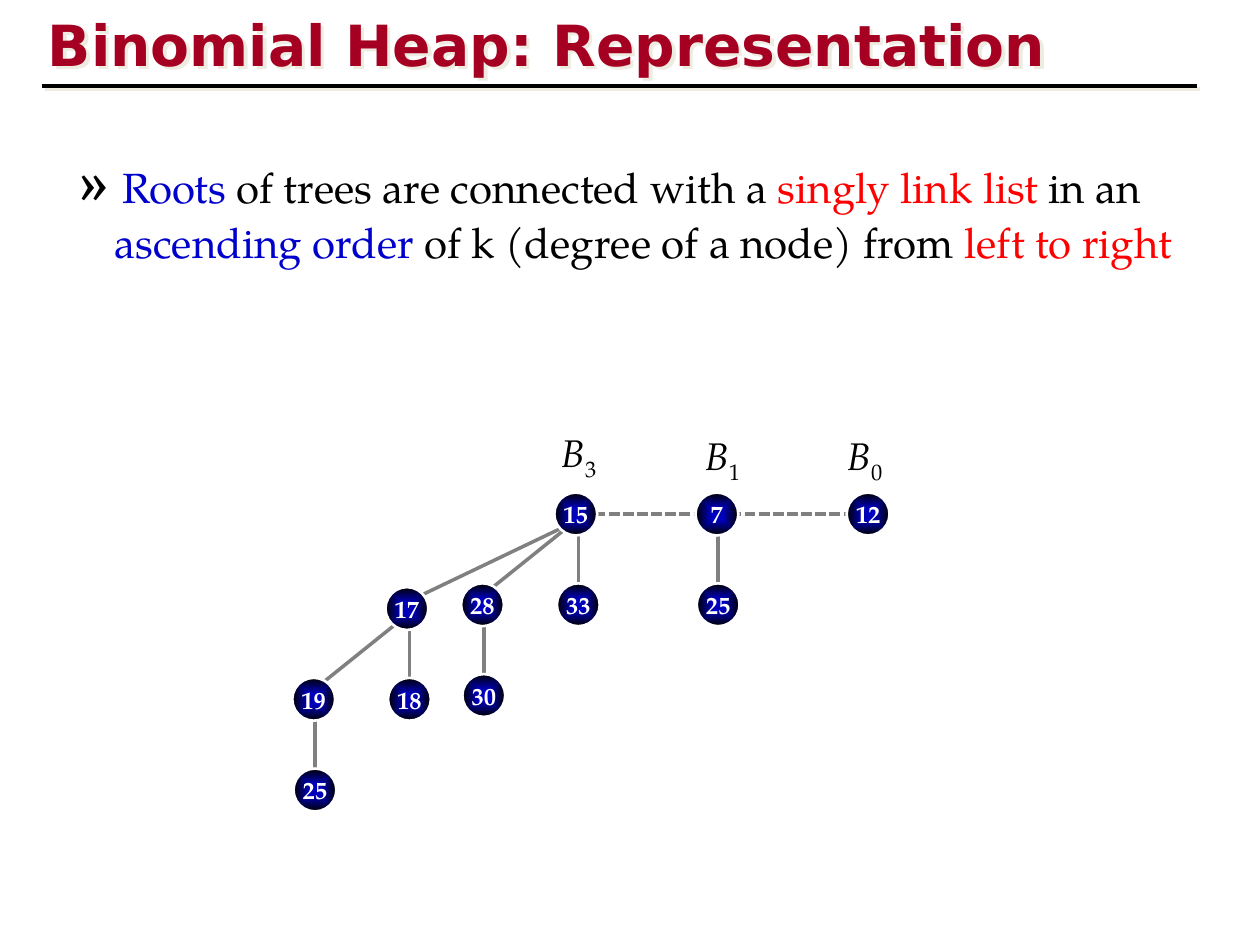
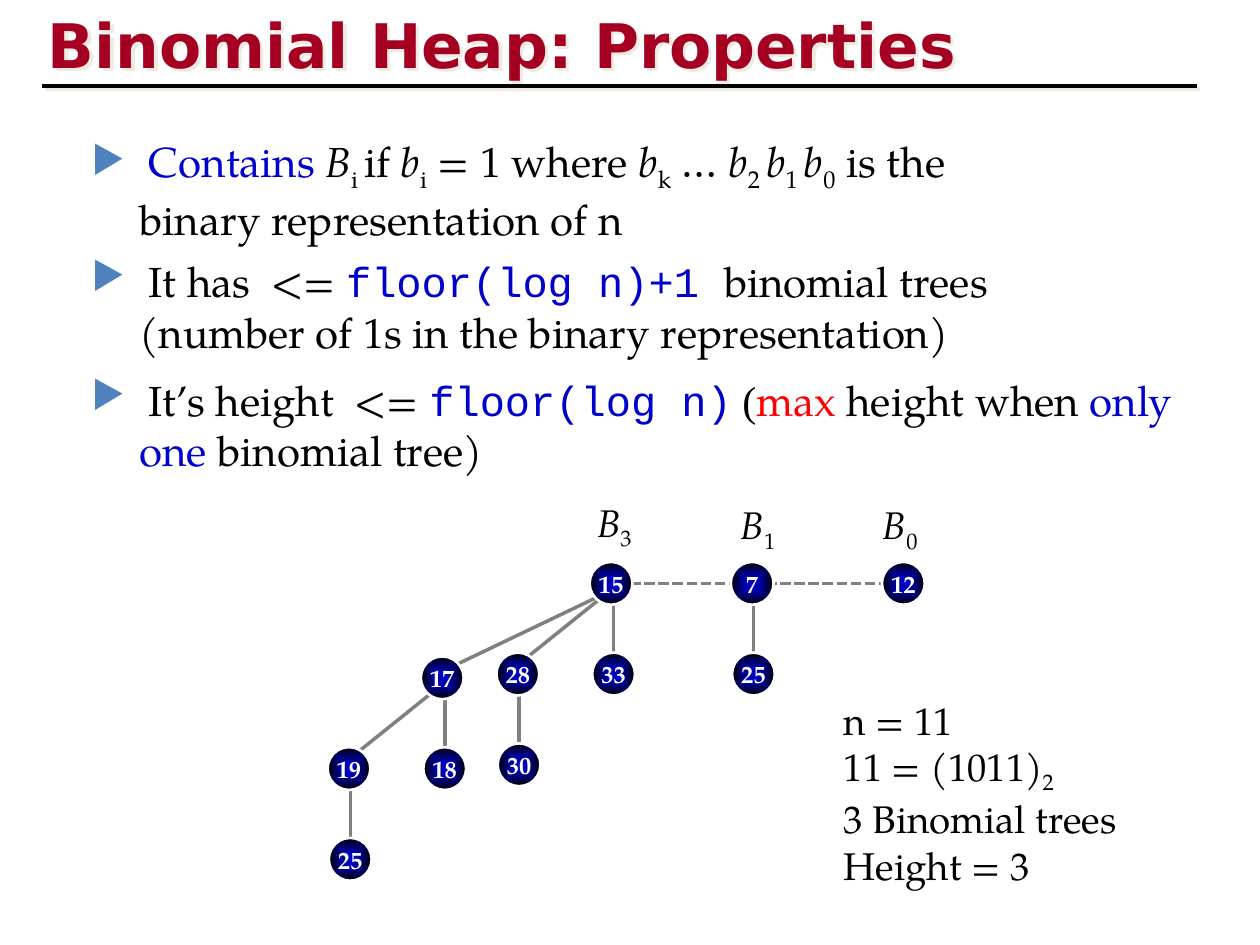
"""Build two slides on the representation and properties of a binomial heap."""
from dataclasses import dataclass, field
from typing import Any, NamedTuple

from lxml.etree import SubElement
from pptx import Presentation
from pptx.dml.color import RGBColor
from pptx.enum.dml import MSO_LINE_DASH_STYLE as Dash
from pptx.enum.shapes import MSO_CONNECTOR as Connector, MSO_SHAPE as Shape
from pptx.enum.text import MSO_ANCHOR as Anchor, MSO_AUTO_SIZE as AutoSize, PP_ALIGN as Align
from pptx.oxml import parse_xml
from pptx.oxml.ns import nsdecls, qn
from pptx.util import Inches, Pt

BLACK, WHITE, GREY = "000000", "FFFFFF", "808080"
CRIMSON, BLUE, RED = "A50021", "0000CC", "FF0000"
BULLET_BLUE, SHADOW_BEIGE = "4F81BD", "EEECE1"
SERIF, SANS, MONO = "TeX Gyre Pagella", "DejaVu Sans", "Courier New"
NODE_SIZE = 0.34
NODE_STOPS = {0: BLUE, 6: "0000C0", 10: "0000B7", 16: "0000AB", 21: BLUE, 100: BLACK}
HANGING = 0.38


class Span(NamedTuple):
    """A stretch of text with its own format."""
    text: str
    color: str = BLACK
    name: str = SERIF
    size: float = 24
    bold: bool = False
    italic: bool = False
    baseline: int = 0


class Point(NamedTuple):
    """A place in inches."""
    x: float
    y: float

    def moved(self, offset: "Point") -> "Point":
        """Return the point shifted by an offset."""
        return Point(self.x + offset.x, self.y + offset.y)


class Area(NamedTuple):
    """A rectangle in inches."""
    left: float
    top: float
    width: float
    height: float


@dataclass(frozen=True)
class Node:
    """A heap node, placed by its centre."""
    key: str
    center: Point


@dataclass(frozen=True)
class Edge:
    """A link whose ends are offsets from the centres of two nodes."""
    parent: str
    child: str
    start: Point
    end: Point
    dashed: bool = False


@dataclass(frozen=True)
class Paragraph:
    """Spans with a hanging indent and an optional bullet."""
    spans: list[Span]
    format: dict[str, Any] = field(default_factory=dict)
    hanging: bool = False
    bullet: str = ""


NODES = {
    "root3": Node("15", Point(4.57, 4.08)),
    "root1": Node("7", Point(5.69, 4.08)),
    "root0": Node("12", Point(6.89, 4.08)),
    "17": Node("17", Point(3.23, 4.83)),
    "28": Node("28", Point(3.83, 4.8)),
    "33": Node("33", Point(4.59, 4.8)),
    "leaf1": Node("25", Point(5.7, 4.8)),
    "19": Node("19", Point(2.49, 5.55)),
    "18": Node("18", Point(3.25, 5.55)),
    "30": Node("30", Point(3.84, 5.52)),
    "leaf3": Node("25", Point(2.5, 6.27)),
}
EDGES = [
    Edge("root3", "root1", Point(0.04, 0), Point(-0.03, 0), True),
    Edge("root1", "root0", Point(0.11, 0), Point(-0.04, 0), True),
    Edge("root3", "17", Point(-0.09, 0.1), Point(0.08, -0.09)),
    Edge("root3", "28", Point(-0.06, 0.1), Point(0.02, -0.09)),
    Edge("17", "19", Point(-0.06, 0.1), Point(0.02, -0.09)),
]
VERTICAL_PAIRS = [("root3", "33"), ("root1", "leaf1"), ("28", "30"), ("17", "18"), ("19", "leaf3")]
TREE_LABELS = {"3": Point(4.36, 3.36), "1": Point(5.5, 3.38), "0": Point(6.63, 3.38)}


def rgb(value: str) -> RGBColor:
    """Turn a hex string into a colour."""
    return RGBColor.from_string(value)


def apply_format(target: Any, values: dict[str, Any]) -> None:
    """Set each attribute of a format on its target."""
    for name, value in values.items():
        setattr(target, name, value)


def sub(text: str, size: float = 24) -> Span:
    """Return a subscript span."""
    return Span(text, size=size, baseline=-25)


def var(text: str, size: float = 24) -> Span:
    """Return an italic variable name."""
    return Span(text, size=size, italic=True)


def set_shadow(shape: Any, visible: bool) -> None:
    """Give a shape the beige offset shadow, or none."""
    effects = SubElement(shape._element.spPr, qn("a:effectLst"))
    if visible:
        shadow = SubElement(effects, qn("a:outerShdw"), dist="35560", dir="2700000", algn="ctr", rotWithShape="0")
        SubElement(shadow, qn("a:srgbClr"), val=SHADOW_BEIGE)


def write_paragraph(para: Any, content: Paragraph) -> None:
    """Fill a paragraph with formatted spans."""
    apply_format(para, content.format)
    properties = para._p.get_or_add_pPr()
    if content.hanging:
        properties.set("marL", str(Inches(HANGING)))
        properties.set("indent", str(-Inches(HANGING)))
    if content.bullet:
        color = SubElement(properties, qn("a:buClr"))
        SubElement(color, qn("a:srgbClr"), val=BULLET_BLUE)
        SubElement(properties, qn("a:buSzPct"), val="90000")
        SubElement(properties, qn("a:buChar"), char=content.bullet)
    for item in content.spans:
        span = para.add_run()
        span.text = item.text
        apply_format(span.font, {"name": item.name, "size": Pt(item.size), "bold": item.bold, "italic": item.italic})
        span.font.color.rgb = rgb(item.color)
        if item.baseline:
            span._r.get_or_add_rPr().set("baseline", str(item.baseline * 1000))


def add_text(page: Any, area: Area, paragraphs: list[Paragraph]) -> None:
    """Add a wrapped text box."""
    frame = page.shapes.add_textbox(*map(Inches, area)).text_frame
    frame.word_wrap = True
    for index, content in enumerate(paragraphs):
        write_paragraph(frame.add_paragraph() if index else frame.paragraphs[0], content)


def add_line(page: Any, start: Point, end: Point, color: str, width: float,
             dashed: bool = False, shadow: bool = False) -> None:
    """Add a straight line."""
    line = page.shapes.add_connector(Connector.STRAIGHT, *map(Inches, (*start, *end)))
    line.line.color.rgb = rgb(color)
    line.line.width = Pt(width)
    if dashed:
        line.line.dash_style = Dash.SQUARE_DOT
    set_shadow(line, shadow)


def add_page(deck: Any, title: str, size: float) -> Any:
    """Add a slide with its crimson title and the rule below."""
    page = deck.slides.add_slide(deck.slide_layouts[5])
    box = page.shapes.title
    apply_format(box, dict(zip(("left", "top", "width", "height"), map(Inches, (0.28, 0.01, 8.5, 0.67)))))
    apply_format(box.text_frame, {"auto_size": AutoSize.NONE, "vertical_anchor": Anchor.MIDDLE, "word_wrap": True})
    heading = Span(title, CRIMSON, SANS, size, bold=True)
    write_paragraph(box.text_frame.paragraphs[0], Paragraph([heading], {"alignment": Align.LEFT}))
    set_shadow(box, True)
    add_line(page, Point(0.33, 0.68), Point(9.5, 0.68), BLACK, 2.25, shadow=True)
    return page


def add_node(page: Any, node: Node, offset: Point) -> None:
    """Add a round node with a radial gradient and its key."""
    center = node.center.moved(offset)
    corner = center.moved(Point(-NODE_SIZE / 2, -NODE_SIZE / 2))
    circle = page.shapes.add_shape(Shape.OVAL, *map(Inches, (*corner, NODE_SIZE, NODE_SIZE)))
    circle.line.color.rgb = rgb(WHITE)
    circle.line.width = Pt(1.5)
    circle.shadow.inherit = False
    stops = "".join(f'<a:gs pos="{place * 1000}"><a:srgbClr val="{color}"/></a:gs>'
                    for place, color in NODE_STOPS.items())
    gradient = parse_xml(
        f'<a:gradFill {nsdecls("a")} rotWithShape="1"><a:gsLst>{stops}</a:gsLst><a:path path="shape">'
        '<a:fillToRect l="50000" t="50000" r="50000" b="50000"/></a:path></a:gradFill>')
    circle._element.spPr.find(qn("a:prstGeom")).addnext(gradient)
    apply_format(circle.text_frame, {"word_wrap": False, "vertical_anchor": Anchor.MIDDLE})
    key = Span(node.key, WHITE, size=14, bold=True)
    write_paragraph(circle.text_frame.paragraphs[0], Paragraph([key], {"alignment": Align.CENTER}))


def add_heap(page: Any, offset: Point = Point(0, 0)) -> None:
    """Draw the heap of three binomial trees."""
    for edge in EDGES:
        start = NODES[edge.parent].center.moved(edge.start).moved(offset)
        end = NODES[edge.child].center.moved(edge.end).moved(offset)
        add_line(page, start, end, GREY, 2, edge.dashed)
    for parent, child in VERTICAL_PAIRS:
        end = NODES[child].center.moved(offset)
        start = Point(end.x, NODES[parent].center.y + offset.y + NODE_SIZE / 2)
        add_line(page, start, end, GREY, 2)
    for node in NODES.values():
        add_node(page, node, offset)
    for degree, corner in TREE_LABELS.items():
        add_text(page, Area(*corner.moved(offset), 0.57, 0.47), [Paragraph([var("B", 22), sub(degree, 22)])])


def add_representation(deck: Any) -> None:
    """Build the slide on how a heap is represented."""
    page = add_page(deck, "Binomial Heap: Representation", 32.4)
    spans = [
        Span(" ", name="Cambria", size=32), Span("»", name="Cambria", size=36),
        Span(" ", name="Cambria", size=32), Span("Roots", BLUE),
        Span(" of trees are connected with a "), Span("singly link list ", RED),
        Span("in an "), Span("ascending order ", BLUE),
        Span("of k (degree of a node) from "), Span("left to right", RED),
    ]
    add_text(page, Area(0.43, 1.07, 9.02, 1.46), [Paragraph(spans, {"space_before": Pt(7)}, hanging=True)])
    add_heap(page)


def add_properties(deck: Any) -> None:
    """Build the slide on the properties of a heap."""
    page = add_page(deck, "Binomial Heap: Properties", 35.1)
    bullets = {
        Area(0.63, 1.03, 7.44, 0.67): [
            Span("Contains ", BLUE), var("B"), sub("i "), Span("if "), var("b"), sub("i"),
            Span(" = 1 where "), var("b"), sub("k"), Span(" … "), var("b"), sub("2 "),
            var("b"), sub("1 "), var("b"), sub("0"), Span(" is the binary representation of n")],
        Area(0.63, 1.98, 8.43, 0.67): [
            Span("It has  <= "), Span("floor(log n)+1 ", BLUE, MONO),
            Span("binomial trees (number of 1s in the binary representation)")],
        Area(0.63, 2.92, 8.87, 0.67): [
            Span("It’s height  <= "), Span("floor(log n)", BLUE, MONO),
            Span(" (", name="Times New Roman"), Span("max", RED), Span(" height when "),
            Span("only one", BLUE), Span(" binomial tree)")],
    }
    for area, spans in bullets.items():
        spans = [Span(" ", name="Cambria"), *spans]
        add_text(page, area, [Paragraph(spans, {"space_before": Pt(6)}, hanging=True, bullet="▶")])
    add_heap(page, Point(0.28, 0.55))
    facts = [[Span("n = 11", size=22)], [Span("11 = (1011)", size=22), sub("2", 22)],
             [Span("3 Binomial trees", size=22)], [Span("Height = 3", size=22)]]
    add_text(page, Area(6.6, 5.48, 2.7, 1.83), [Paragraph(fact) for fact in facts])


def main() -> None:
    """Build and save the deck."""
    deck = Presentation()
    deck.slide_width, deck.slide_height = Inches(10), Inches(7.5)
    add_representation(deck)
    add_properties(deck)
    deck.save("out.pptx")


if __name__ == "__main__":
    main()
